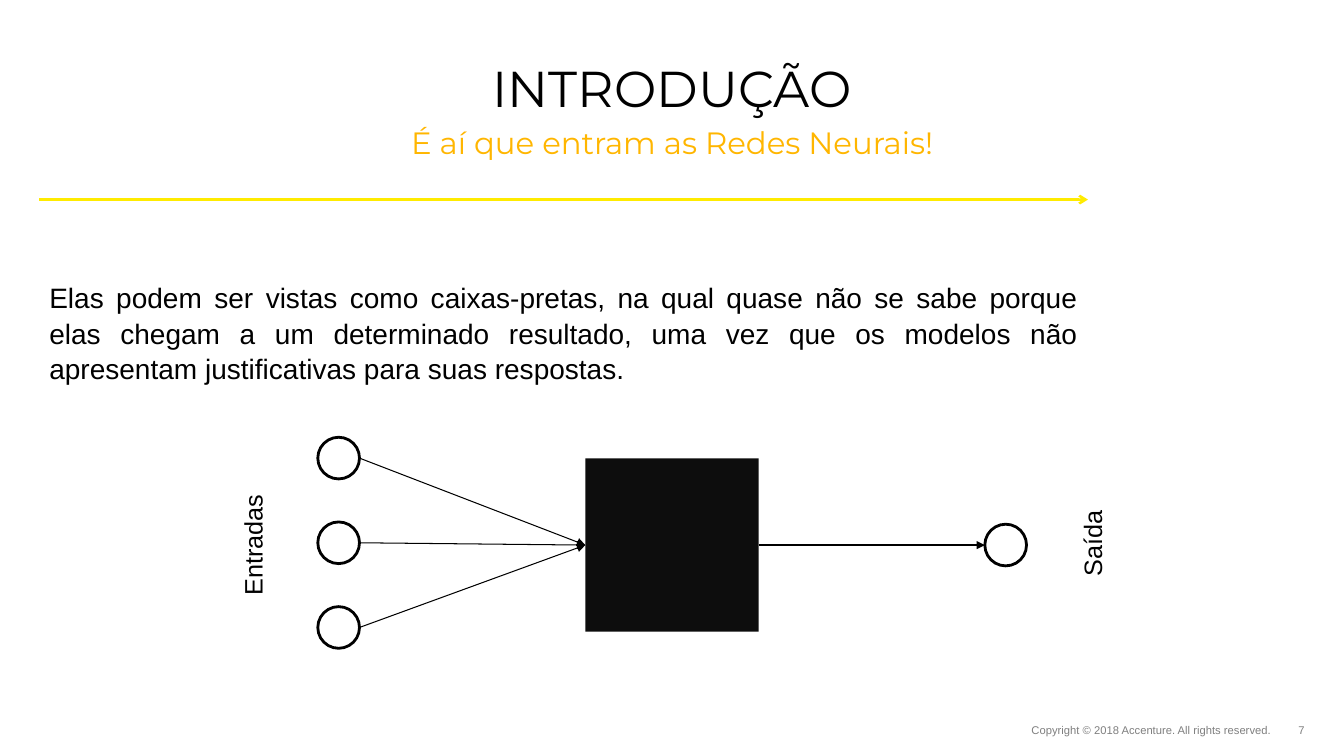
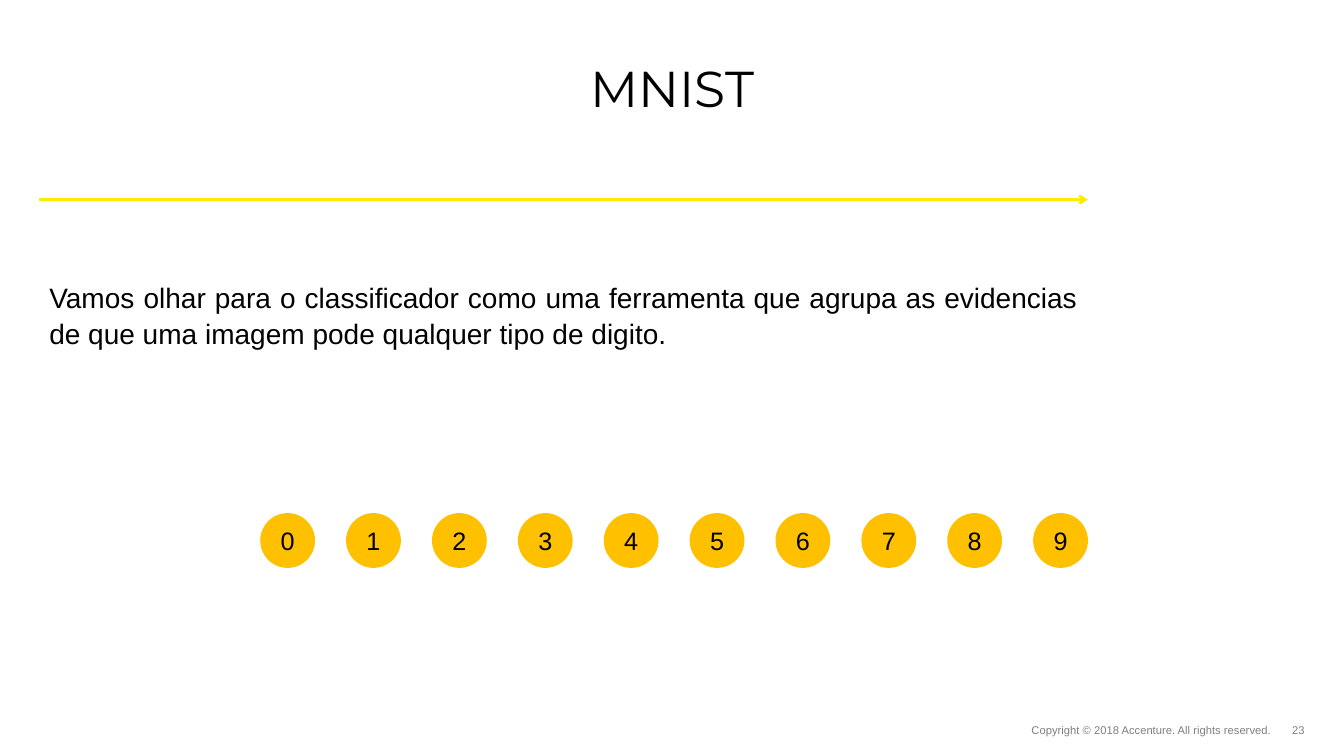
from lxml import etree
from pptx import Presentation
from pptx.dml.color import RGBColor
from pptx.enum.shapes import MSO_CONNECTOR as Link, MSO_SHAPE as Shape
from pptx.enum.text import MSO_ANCHOR as Anchor, PP_ALIGN as Align
from pptx.oxml.ns import qn
from pptx.util import Inches, Pt

COLORS = {
    "paper": "FFFFFF", "ink": "000000", "accent": "FFB600", "rule": "FFEB00",
    "digit": "FFC000", "black_box": "0D0D0D", "footer": "7F7F7F",
}
WIDTH, HEIGHT = Inches(13.33), Inches(7.5)
LEFT, FULL, BODY_WIDTH = 2.93, 94.15, 78.02
MIDDLE = 72.1
COPYRIGHT = "Copyright © 2018 Accenture. All rights reserved."

STYLES = {
    "title": {
        "font": {"name": "Montserrat", "size": Pt(36)}, "color": "ink",
        "para": {"alignment": Align.CENTER, "line_spacing": 0.8},
        "frame": {"margin_top": Inches(0.07)},
    },
    "subtitle": {
        "font": {"name": "Montserrat", "size": Pt(22)}, "color": "accent",
        "para": {"alignment": Align.CENTER}, "frame": {},
    },
    "body": {
        "font": {"name": "Arial", "size": Pt(20)}, "color": "ink",
        "para": {"alignment": Align.JUSTIFY, "line_spacing": 1.05},
        "frame": {"margin_left": Inches(0.1), "margin_right": Inches(0.1),
                  "margin_top": Inches(0.05), "margin_bottom": Inches(0.05)},
    },
    "label": {
        "font": {"name": "Arial", "size": Pt(18)}, "color": "ink",
        "para": {"alignment": Align.CENTER},
        "frame": {"vertical_anchor": Anchor.MIDDLE, "word_wrap": False},
    },
    "footer": {
        "font": {"name": "Arial", "size": Pt(8)}, "color": "footer",
        "para": {"alignment": Align.RIGHT},
        "frame": {"vertical_anchor": Anchor.MIDDLE},
    },
}
PLAIN_FRAME = {"margin_left": 0, "margin_right": 0, "margin_top": 0,
               "margin_bottom": 0, "word_wrap": True}


def across(share):
    """Turn a percentage of the slide width into a length."""
    return round(WIDTH * share / 100)


def down(share):
    """Turn a percentage of the slide height into a length."""
    return round(HEIGHT * share / 100)


def color(name):
    """Look up a palette colour."""
    return RGBColor.from_string(COLORS[name])


def apply(target, values):
    """Set each format value on the target."""
    for key, value in values.items():
        setattr(target, key, value)


def write(box, text, style_name):
    """Fill a box with one styled paragraph."""
    style = STYLES[style_name]
    frame = box.text_frame
    apply(frame, PLAIN_FRAME | style["frame"])
    para = frame.paragraphs[0]
    apply(para, style["para"])
    span = para.add_run()
    span.text = text
    apply(span.font, style["font"])
    span.font.color.rgb = color(style["color"])


def add_text(page, text, style_name, left, top, width, height):
    """Add a text box placed by slide shares."""
    box = page.shapes.add_textbox(
        across(left), down(top), across(width), down(height))
    write(box, text, style_name)
    return box


def add_side_label(page, text, center_x, center_y, width):
    """Add a label that reads upwards around its centre."""
    height = 5.33
    box = add_text(page, text, "label", center_x - width / 2,
                   center_y - height / 2, width, height)
    box.rotation = 270


def add_node(page, kind, center_x, center_y, size, fill, outline=None):
    """Add an equal-sided shape around a centre, sized by slide width."""
    side = across(size)
    node = page.shapes.add_shape(
        kind, across(center_x) - side // 2, down(center_y) - side // 2, side, side)
    node.shadow.inherit = False
    node.fill.solid()
    node.fill.fore_color.rgb = color(fill)
    if outline:
        node.line.color.rgb = color(outline)
        node.line.width = Pt(2)
    else:
        node.line.fill.background()
    return node


def add_arrow(page, start, end, line_color, weight, head):
    """Add a straight arrow between two points."""
    arrow = page.shapes.add_connector(Link.STRAIGHT, *start, *end)
    arrow.line.color.rgb = color(line_color)
    arrow.line.width = Pt(weight)
    properties = arrow._element.spPr
    etree.SubElement(properties.find(qn("a:ln")), qn("a:tailEnd"), type=head)
    etree.SubElement(properties, qn("a:effectLst"))


def join(page, source, target, weight):
    """Draw an arrow from the right of one node to the left of another."""
    start = source.left + source.width, source.top + source.height // 2
    end = target.left, target.top + target.height // 2
    add_arrow(page, start, end, "ink", weight, "triangle")


def add_page(deck, title, number, body, body_height, subtitle=None):
    """Add a page with the shared title, rule, body and footer."""
    page = deck.slides.add_slide(deck.slide_layouts[6])
    page.background.fill.solid()
    page.background.fill.fore_color.rgb = color("paper")
    add_text(page, title, "title", LEFT, 8.13, FULL, 7.87)
    if subtitle:
        add_text(page, subtitle, "subtitle", LEFT, 16.4, FULL, 6)
    rule_y = down(26.4)
    add_arrow(page, (across(LEFT), rule_y), (across(LEFT + BODY_WIDTH), rule_y),
              "rule", 1.75, "arrow")
    add_text(page, body, "body", LEFT, 36.27, BODY_WIDTH, body_height)
    add_text(page, COPYRIGHT, "footer", 60.61, 95.33, 33.98, 2.4)
    add_text(page, number, "footer", 95.27, 95.33, 1.8, 2.4)
    return page


def draw_network(page):
    """Draw three inputs leading through a black box to one output."""
    size, step = 3.1, 11.2
    black_box = add_node(page, Shape.RECTANGLE, 50, MIDDLE, 12.9, "black_box")
    for row in range(3):
        entry = add_node(page, Shape.OVAL, 25.2, 60.6 + row * step, size, "paper", "ink")
        join(page, entry, black_box, 0.75)
    result = add_node(page, Shape.OVAL, 74.83, MIDDLE, size, "paper", "ink")
    join(page, black_box, result, 1.25)
    add_side_label(page, "Entradas", 18.8, MIDDLE, 9.08)
    add_side_label(page, "Saída", 81.25, 71.87, 6.45)


def draw_digits(page):
    """Draw the ten digits as an evenly spaced row of discs."""
    for digit in range(10):
        disc = add_node(page, Shape.OVAL, 21.4 + digit * 6.39, 71.5, 4.08, "digit")
        write(disc, str(digit), "label")


def main():
    """Build and save the deck."""
    deck = Presentation()
    apply(deck, {"slide_width": WIDTH, "slide_height": HEIGHT})
    draw_network(add_page(
        deck, "INTRODUÇÃO", "7",
        "Elas podem ser vistas como caixas-pretas, na qual quase não se sabe "
        "porque elas chegam a um determinado resultado, uma vez que os modelos "
        "não apresentam justificativas para suas respostas.",
        18.8, "É aí que entram as Redes Neurais!"))
    draw_digits(add_page(
        deck, "MNIST", "23",
        "Vamos olhar para o classificador como uma ferramenta que agrupa as "
        "evidencias de que uma imagem pode qualquer tipo de digito.", 10.27))
    deck.save("out.pptx")


if __name__ == "__main__":
    main()
